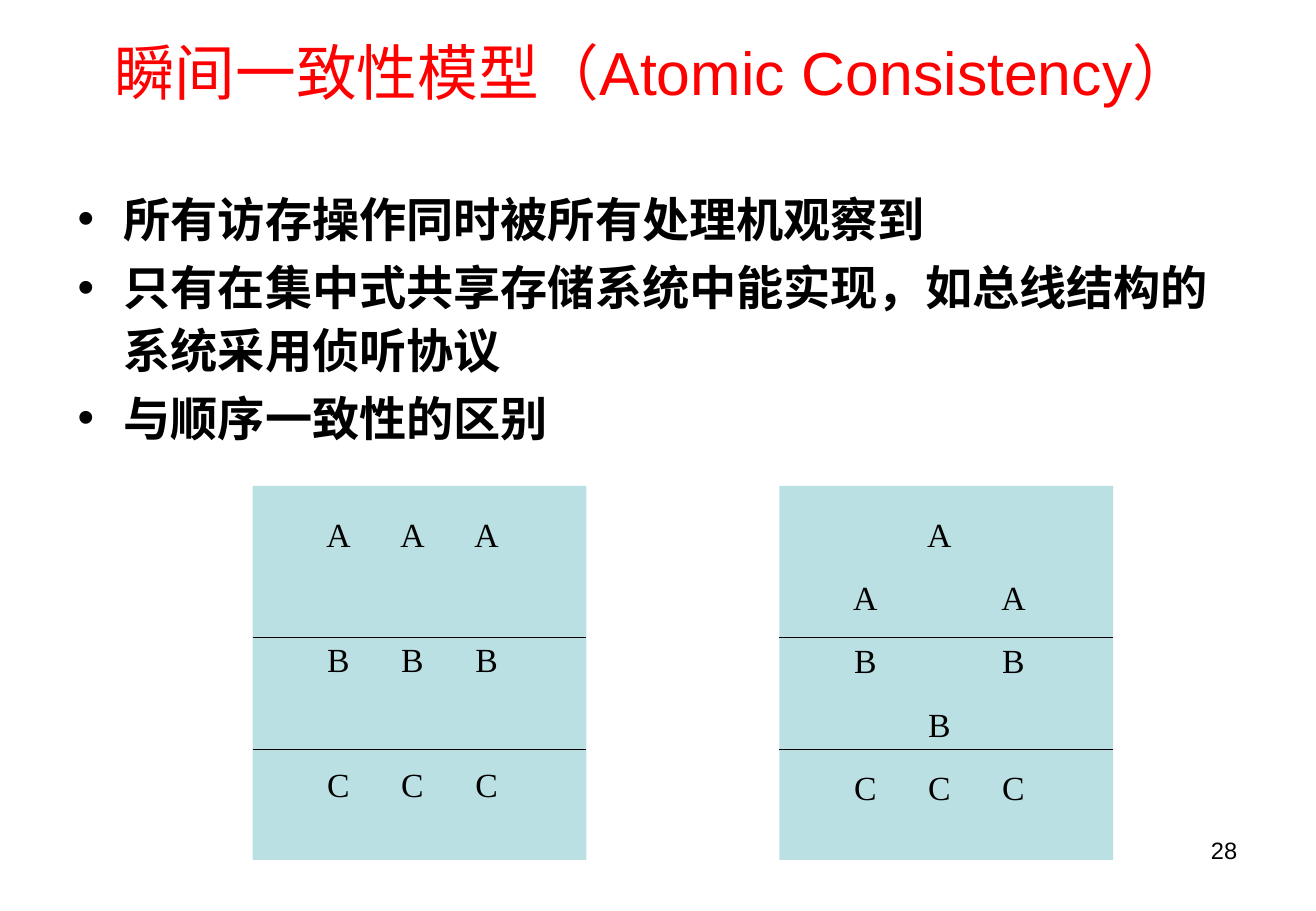
"""Build the atomic consistency slide with its two access-order panels."""
from pptx import Presentation
from pptx.dml.color import RGBColor
from pptx.enum.shapes import MSO_CONNECTOR as CONN, MSO_SHAPE as SHAPE
from pptx.enum.text import MSO_ANCHOR as ANCHOR, PP_ALIGN as ALIGN
from pptx.oxml.ns import qn
from pptx.util import Inches, Pt
from lxml import etree

COLORS = {"title": "FF0000", "text": "000000", "panel": "BBE0E3"}

prs = Presentation()
prs.slide_width, prs.slide_height = Inches(10.84), Inches(7.5)
s = prs.slides.add_slide(prs.slide_layouts[6])


def add_text(box, lines, font, color="text", align=ALIGN.LEFT, anchor=ANCHOR.TOP):
    tf = s.shapes.add_textbox(*map(Inches, box)).text_frame
    tf.word_wrap = True
    tf.vertical_anchor = anchor
    for i, line in enumerate(lines):
        p = tf.paragraphs[0] if i == 0 else tf.add_paragraph()
        p.alignment = align
        r = p.add_run()
        r.text = line
        for name, value in font.items():
            setattr(r.font, name, value)
        r.font.color.rgb = RGBColor.from_string(COLORS[color])
    return tf.paragraphs


add_text((0.53, 0, 9.71, 1.17), ["瞬间一致性模型（Atomic Consistency）"],
         {"name": "Arial", "size": Pt(36)}, "title", ALIGN.CENTER, ANCHOR.MIDDLE)

points = [
    "所有访存操作同时被所有处理机观察到",
    "只有在集中式共享存储系统中能实现，如总线结构的系统采用侦听协议",
    "与顺序一致性的区别",
]
bullets = add_text((0.54, 1.47, 9.75, 2.35), points,
                   {"name": "Times New Roman", "size": Pt(28), "bold": True})
for i, p in enumerate(bullets):
    p.line_spacing = 1.1
    p.space_before = Pt(3.5 if i else 0)
    pPr = p._p.get_or_add_pPr()
    pPr.set("marL", str(Inches(0.38)))
    pPr.set("indent", str(Inches(-0.38)))
    etree.SubElement(pPr, qn("a:buFont"), typeface="Arial")
    etree.SubElement(pPr, qn("a:buChar"), char="•")

panel_top, panel_w, panel_h = 4, 2.75, 3.08
panels = [
    (2.08, ["\tA\tA\tA", "\tB\tB\tB", "\tC\tC\tC"], 50),
    (6.42, ["\t\tA", "\tA\t\tA", "\tB\t\tB", "\t\tB", "\tC\tC\tC"], 13.5),
]
for left, rows, gap in panels:
    sp = s.shapes.add_shape(SHAPE.RECTANGLE, *map(Inches, (left, panel_top, panel_w, panel_h)))
    sp.shadow.inherit = False
    sp.fill.solid()
    sp.fill.fore_color.rgb = RGBColor.from_string(COLORS["panel"])
    sp.line.fill.background()

    letters = add_text((left + 0.49, 4.18, 1.7, 2.43), rows,
                       {"name": "Times New Roman", "size": Pt(20)})
    for i, p in enumerate(letters):
        p.space_before = Pt(gap if i else 0)
        tabs = etree.SubElement(p._p.get_or_add_pPr(), qn("a:tabLst"))
        for column in range(3):
            etree.SubElement(tabs, qn("a:tab"), pos=str(Inches(0.12 + 0.61 * column)), algn="ctr")

    for y in (5.25, 6.17):
        divider = s.shapes.add_connector(CONN.STRAIGHT, *map(Inches, (left, y, left + panel_w, y)))
        divider.line.color.rgb = RGBColor.from_string(COLORS["text"])
        divider.line.width = Pt(0.75)
        etree.SubElement(divider._element.spPr, qn("a:effectLst"))

add_text((7.76, 6.83, 2.53, 0.52), ["28"], {"name": "Arial", "size": Pt(14)}, align=ALIGN.RIGHT)

prs.save("out.pptx")
